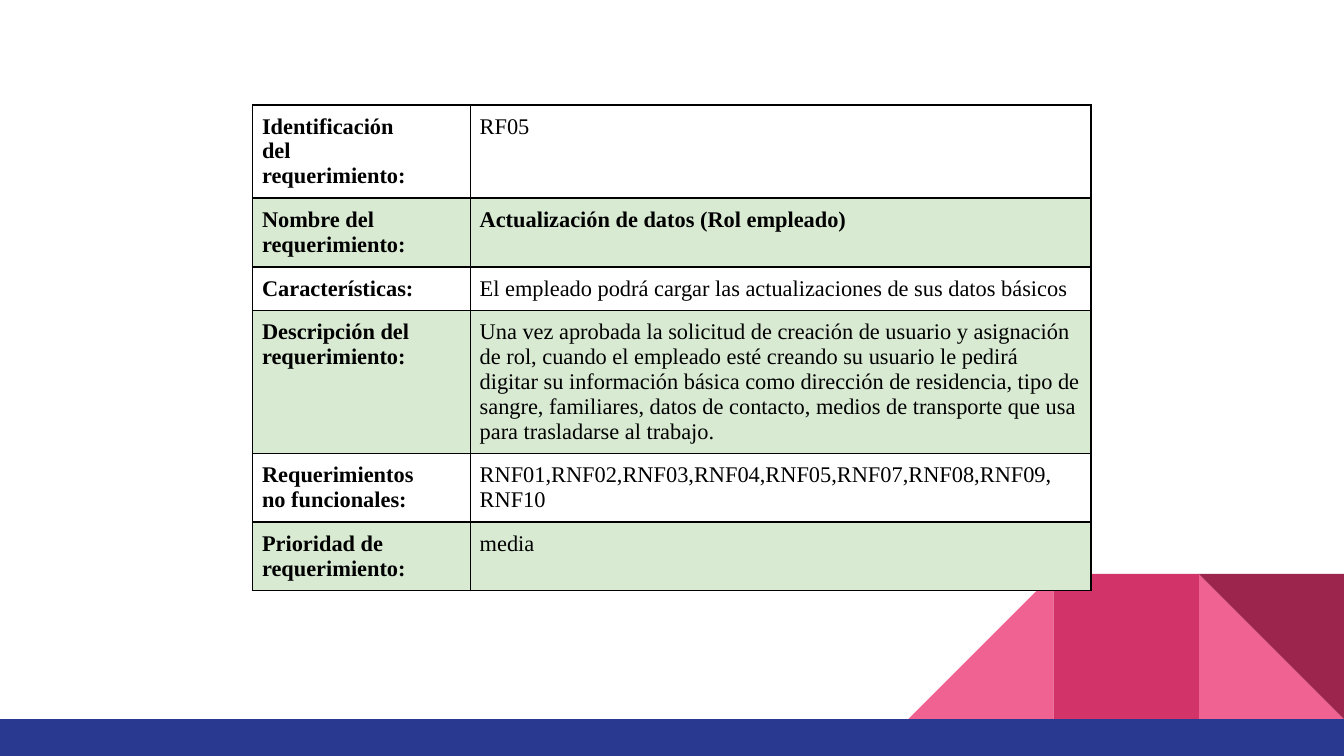
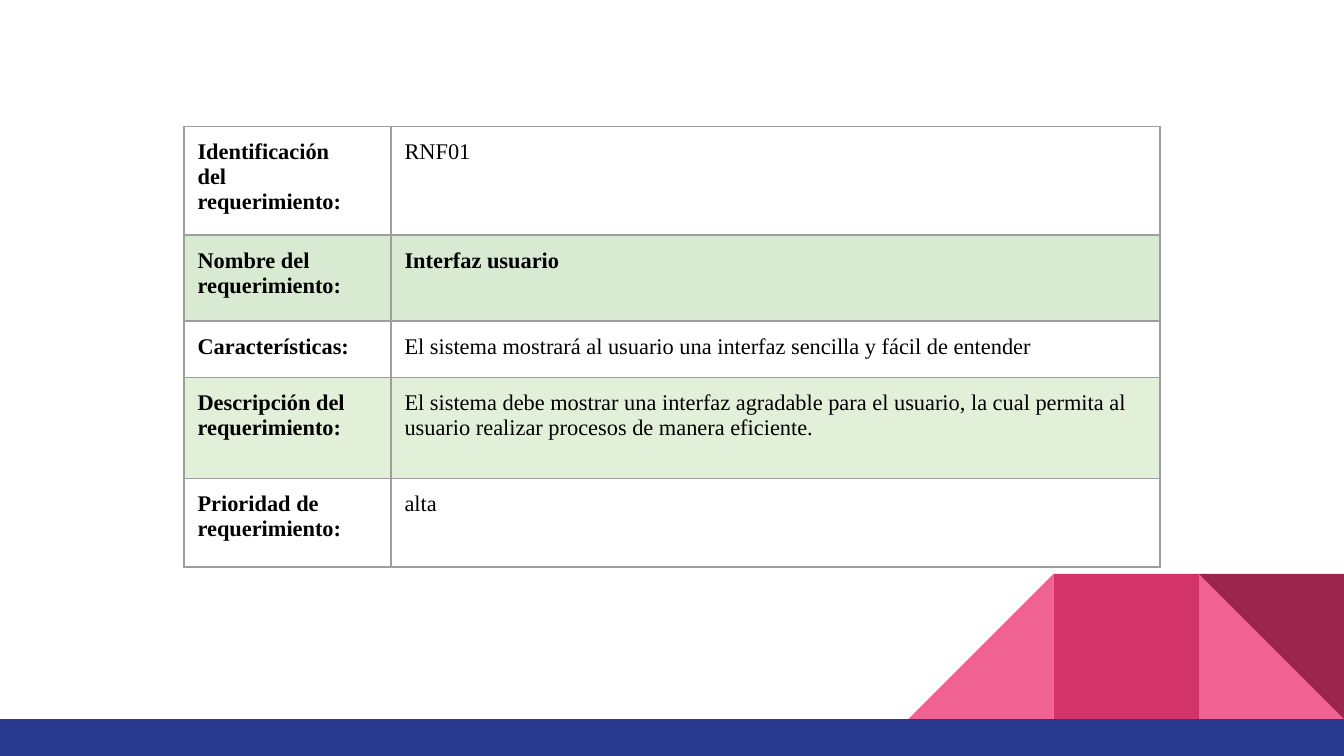
from lxml import etree
from pptx import Presentation
from pptx.dml.color import RGBColor
from pptx.enum import shapes
from pptx.oxml.ns import qn
from pptx.util import Inches, Pt

PINK = RGBColor(0xF0, 0x62, 0x92)
ROSE = RGBColor(0xD2, 0x33, 0x69)
WINE = RGBColor(0x9C, 0x25, 0x4D)
NAVY = RGBColor(0x2A, 0x39, 0x90)
BLACK = RGBColor(0, 0, 0)
GREY = RGBColor(0x9E, 0x9E, 0x9E)
GREEN = RGBColor(0xD9, 0xEA, 0xD3)
PALE_GREEN = RGBColor(0xE2, 0xEF, 0xD9)
WHITE = RGBColor(0xFF, 0xFF, 0xFF)

RECT = shapes.MSO_SHAPE.RECTANGLE
TRIANGLE = shapes.MSO_SHAPE.RIGHT_TRIANGLE
FONT = "Times New Roman"
WIDTH = 10
HEIGHT = WIDTH * 9 / 16
TILE, BAR_TOP = 1.08, 5.35

ID = "Identificación\ndel\nrequerimiento:"
NAME = "Nombre del\nrequerimiento:"
FEATURES = "Características:"
DESCRIPTION = "Descripción del\nrequerimiento:"
NON_FUNCTIONAL = "Requerimientos\nno funcionales:"
PRIORITY = "Prioridad de\nrequerimiento:"


class Deck:
    """Builds requirement slides that share one decoration and table style."""

    def __init__(self):
        self.prs = Presentation()
        self.prs.slide_width = Inches(WIDTH)
        self.prs.slide_height = Inches(HEIGHT)
        self.s = None

    def slide(self):
        self.s = self.prs.slides.add_slide(self.prs.slide_layouts[6])
        top = BAR_TOP - TILE
        left, middle, right = (WIDTH - n * TILE for n in (3, 2, 1))
        self.shape(TRIANGLE, right, top, TILE, TILE, PINK)
        sp = self.shape(TRIANGLE, left, top, TILE, TILE, PINK)
        sp.element.spPr.find(qn("a:xfrm")).set("flipH", "1")
        self.shape(RECT, middle, top, TILE, TILE, ROSE)
        self.shape(TRIANGLE, right, top, TILE, TILE, WINE).rotation = 180
        self.shape(RECT, 0, BAR_TOP, WIDTH, HEIGHT - BAR_TOP, NAVY)

    def shape(self, kind, x, y, w, h, color):
        sp = self.s.shapes.add_shape(kind, Inches(x), Inches(y), Inches(w), Inches(h))
        sp.shadow.inherit = False
        sp.fill.solid()
        sp.fill.fore_color.rgb = color
        sp.line.fill.background()
        return sp

    def table(self, x, y, widths, rows, inset, border):
        """Adds rows given as (height, fill, label, value)."""
        heights = [row[0] for row in rows]
        frame = self.s.shapes.add_table(
            len(rows), len(widths), Inches(x), Inches(y),
            Inches(sum(widths)), Inches(sum(heights)))
        tbl = frame.table
        tbl.first_row = tbl.horz_banding = False
        for column, width in zip(tbl.columns, widths):
            column.width = Inches(width)
        for i, (height, fill, label, value) in enumerate(rows):
            tbl.rows[i].height = Inches(height)
            self.cell(tbl.cell(i, 0), label, True, fill, inset, border)
            self.cell(tbl.cell(i, 1), value, label == NAME, fill, inset, border)

    def cell(self, cell, content, bold, fill, inset, border):
        cell.margin_left = cell.margin_right = Inches(inset)
        cell.margin_top = cell.margin_bottom = Inches(inset)
        self.borders(cell, border)
        if fill is None:
            cell.fill.background()
        else:
            cell.fill.solid()
            cell.fill.fore_color.rgb = fill
        cell.text = content
        for p in cell.text_frame.paragraphs:
            p.font.name = FONT
            p.font.size = Pt(12)
            p.font.bold = bold
            p.font.color.rgb = BLACK

    def borders(self, cell, color):
        tc_pr = cell._tc.get_or_add_tcPr()
        for side in ("lnL", "lnR", "lnT", "lnB"):
            ln = etree.SubElement(tc_pr, qn(f"a:{side}"), w=str(Pt(1)))
            solid = etree.SubElement(ln, qn("a:solidFill"))
            etree.SubElement(solid, qn("a:srgbClr"), val=str(color))


def main():
    deck = Deck()

    deck.slide()
    deck.table(1.88, 0.78, (1.62, 4.62), [
        (0.69, None, ID, "RF05"),
        (0.51, GREEN, NAME, "Actualización de datos (Rol empleado)"),
        (0.32, None, FEATURES,
         "El empleado podrá cargar las actualizaciones de sus datos básicos"),
        (1.06, GREEN, DESCRIPTION,
         "Una vez aprobada la solicitud de creación de usuario y asignación de rol, "
         "cuando el empleado esté creando su usuario le pedirá digitar su información "
         "básica como dirección de residencia, tipo de sangre, familiares, datos de "
         "contacto, medios de transporte que usa para trasladarse al trabajo."),
        (0.51, None, NON_FUNCTIONAL,
         "RNF01,RNF02,RNF03,RNF04,RNF05,RNF07,RNF08,RNF09,\nRNF10"),
        (0.51, GREEN, PRIORITY, "media"),
    ], 0.07, BLACK)

    deck.slide()
    deck.table(1.37, 0.94, (1.54, 5.72), [
        (0.81, None, ID, "RNF01"),
        (0.64, GREEN, NAME, "Interfaz usuario"),
        (0.42, None, FEATURES,
         "El sistema mostrará al usuario una interfaz sencilla y fácil de entender"),
        (0.75, PALE_GREEN, DESCRIPTION,
         "El sistema debe mostrar una interfaz agradable para el usuario, la cual "
         "permita al usuario realizar procesos de manera eficiente."),
        (0.66, WHITE, PRIORITY, "alta"),
    ], 0.1, GREY)

    deck.prs.save("out.pptx")


if __name__ == "__main__":
    main()
